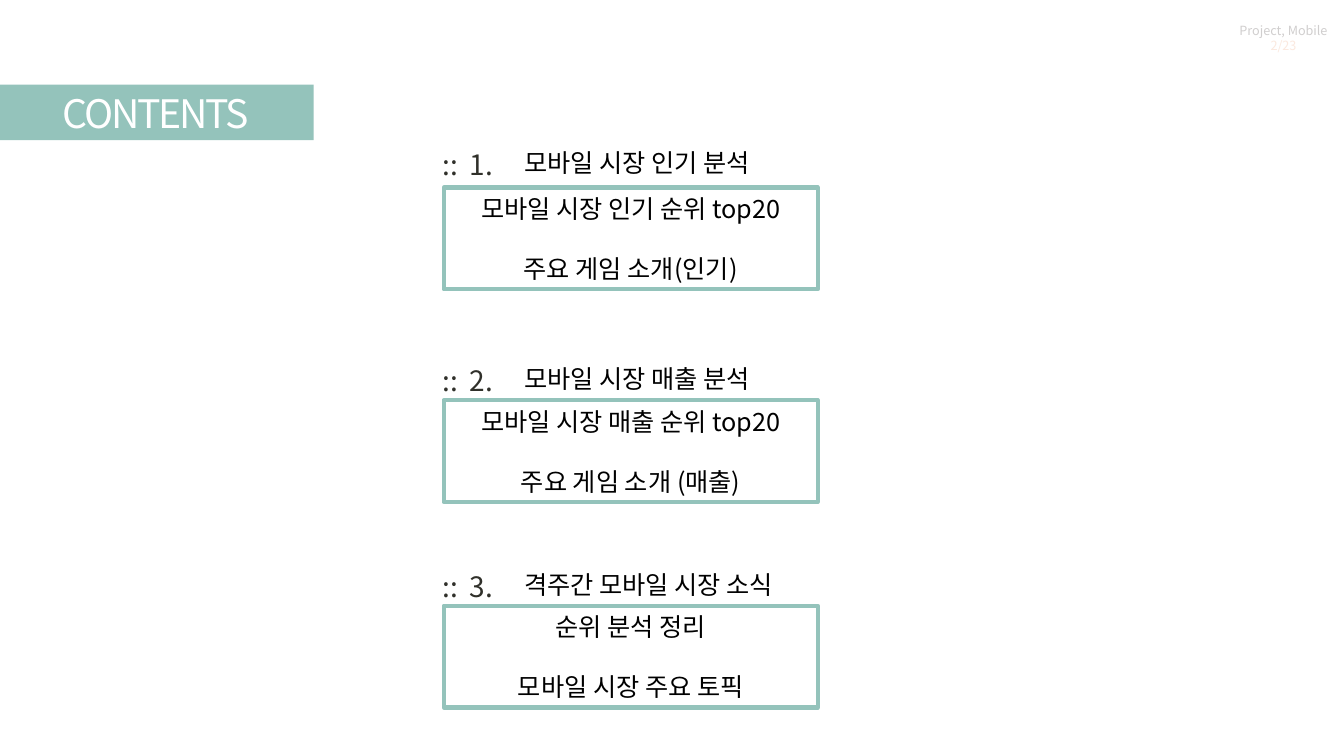
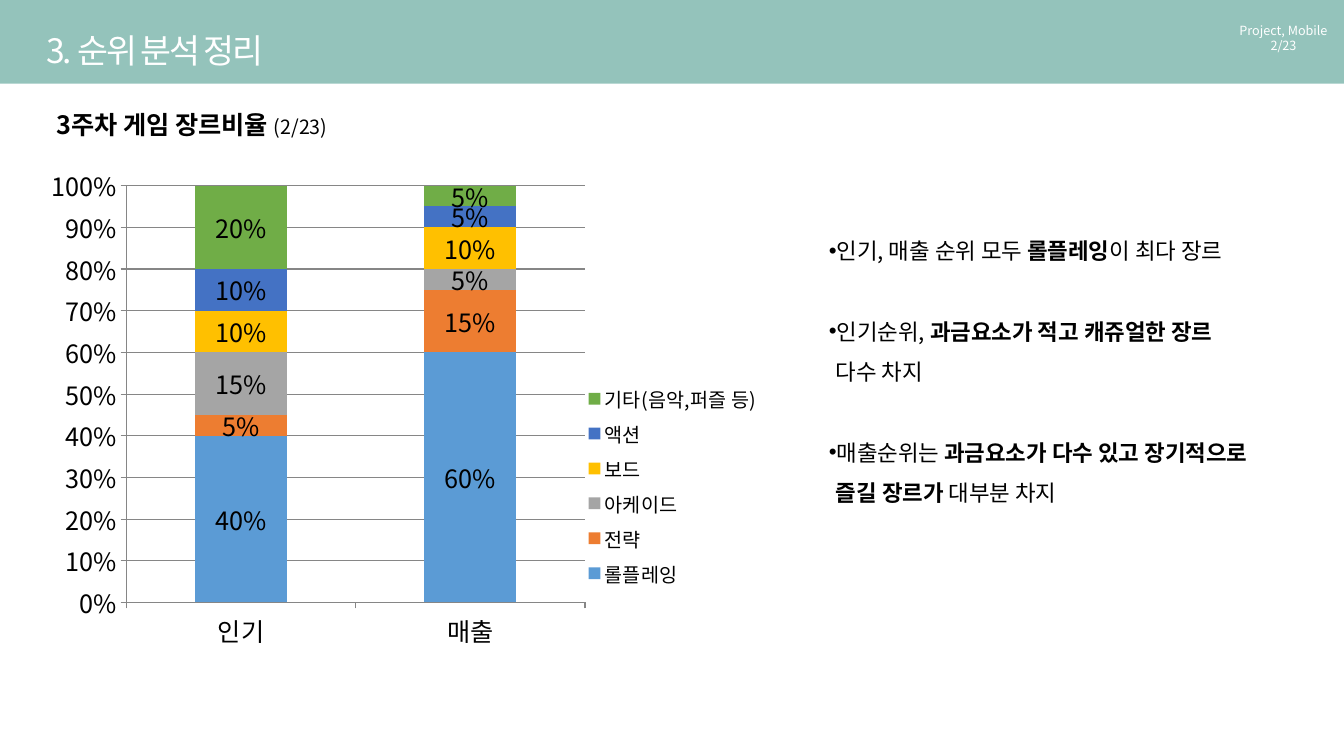
from dataclasses import dataclass

import pptx
import pptx.chart.data
import pptx.dml.color
import pptx.enum.chart
import pptx.enum.shapes
import pptx.enum.text
import pptx.oxml
import pptx.oxml.ns
import pptx.util
from lxml import etree
from pptx.util import Inches

FONT = "Noto Sans CJK KR"
COLORS = {
    "teal": "94C3BB", "white": "FFFFFF", "black": "000000", "ink": "30302A",
    "gray": "D0CECE", "faint": "FBE9DF", "grid": "868686",
}
ALIGN = pptx.enum.text.PP_ALIGN
ANCHOR = pptx.enum.text.MSO_ANCHOR
qn = pptx.oxml.ns.qn


@dataclass
class Section:
    number: int
    heading: str
    lines: list[str]
    top: float
    box_top: float


@dataclass
class Series:
    name: str
    values: tuple[int, int]
    color: str


SECTIONS = [
    Section(1, "모바일 시장 인기 분석",
            ["모바일 시장 인기 순위 top20", "주요 게임 소개(인기)"], 1.41, 1.86),
    Section(2, "모바일 시장 매출 분석",
            ["모바일 시장 매출 순위 top20", "주요 게임 소개 (매출)"], 3.56, 3.97),
    Section(3, "격주간 모바일 시장 소식",
            ["순위 분석 정리", "모바일 시장 주요 토픽"], 5.6, 6.01),
]
GENRES = [
    Series("롤플레잉", (40, 60), "5B9BD5"),
    Series("전략", (5, 15), "ED7D31"),
    Series("아케이드", (15, 5), "A5A5A5"),
    Series("보드", (10, 10), "FFC000"),
    Series("액션", (10, 5), "4472C4"),
    Series("기타(음악,퍼즐 등)", (20, 5), "70AD47"),
]
LEGEND_LAYOUT = {"x": 0.7, "y": 0.44, "w": 0.29, "h": 0.43}
FINDINGS = [
    [("인기, 매출 순위 모두 ", False), ("롤플레잉", True), ("이 최다 장르", False)],
    [("인기순위, ", False), ("과금요소가 적고 캐쥬얼한 장르", True), ("\v", False),
     ("다수 차지", False)],
    [("매출순위는 ", False), ("과금요소가 다수 있고 장기적으로", True), ("\v", False),
     ("즐길 장르가", True), (" 대부분 차지", False)],
]


def rgb(hex_color: str) -> pptx.dml.color.RGBColor:
    return pptx.dml.color.RGBColor.from_string(hex_color)


def style_run(r, size: float, color: str = "black", bold: bool = False) -> None:
    r.font.size = pptx.util.Pt(size)
    r.font.bold = bold
    r.font.color.rgb = rgb(COLORS[color])
    r.font.name = FONT
    r._r.get_or_add_rPr().set("kern", "0")


def set_east_asian_font(element) -> None:
    for latin in list(element.iter(qn("a:latin"))):
        ea = etree.Element(qn("a:ea"), typeface=FONT)
        latin.addnext(ea)


def place(sp, left: float, top: float, width: float, height: float) -> None:
    sp.left, sp.top = Inches(left), Inches(top)
    sp.width, sp.height = Inches(width), Inches(height)


def set_frame(tf, anchor=ANCHOR.TOP) -> None:
    tf.word_wrap = True
    tf.auto_size = pptx.enum.text.MSO_AUTO_SIZE.NONE
    tf.vertical_anchor = anchor


def add_text(s, left: float, top: float, width: float, height: float,
             text: str, size: float, color: str = "black"):
    tf = s.shapes.add_textbox(Inches(left), Inches(top),
                              Inches(width), Inches(height)).text_frame
    set_frame(tf)
    tf.text = text
    for p in tf.paragraphs:
        for r in p.runs:
            style_run(r, size, color)
    return tf


def add_rect(s, left: float, top: float, width: float, height: float):
    sp = s.shapes.add_shape(pptx.enum.shapes.MSO_SHAPE.RECTANGLE, Inches(left),
                            Inches(top), Inches(width), Inches(height))
    sp.shadow.inherit = False
    return sp


def add_band(s, top: float, width: float, height: float, color: str) -> None:
    sp = add_rect(s, 0, top, width, height)
    sp.fill.solid()
    sp.fill.fore_color.rgb = rgb(COLORS[color])
    sp.line.fill.background()
    s.shapes._spTree.insert(2, sp._element)


def set_title(s, text: str, left: float, top: float, width: float,
              height: float, size: float) -> None:
    sp = s.shapes.title
    place(sp, left, top, width, height)
    tf = sp.text_frame
    set_frame(tf)
    tf.text = text
    p = tf.paragraphs[0]
    p.alignment = ALIGN.LEFT
    r = p.runs[0]
    style_run(r, size, "white")
    r._r.get_or_add_rPr().set("spc", "-150")


def add_badge(s, name_color: str, date_color: str) -> None:
    tf = add_text(s, 12.16, 0.18, 1.14, 0.4, "Project, Mobile\n2/23", 9)
    for p, color in zip(tf.paragraphs, (name_color, date_color)):
        p.alignment = ALIGN.CENTER
        style_run(p.runs[0], 9, color)


def add_section(s, section: Section) -> None:
    sp = add_rect(s, 4.4, section.box_top, 3.71, 1.01)
    sp.fill.background()
    sp.line.color.rgb = rgb(COLORS["teal"])
    sp.line.width = pptx.util.Pt(3)
    tf = sp.text_frame
    set_frame(tf, ANCHOR.MIDDLE)
    tf.text = "\n".join(section.lines)
    for i, p in enumerate(tf.paragraphs):
        p.alignment = ALIGN.CENTER
        p.space_before = pptx.util.Pt(21.5 if i else 0)
        style_run(p.runs[0], 18)
    tf = add_text(s, 4.29, section.top, 0.89, 0.44,
                  f"::\t{section.number}.", 20, "ink")
    pPr = tf.paragraphs[0]._p.get_or_add_pPr()
    tabs = etree.SubElement(pPr, qn("a:tabLst"))
    etree.SubElement(tabs, qn("a:tab"), pos=str(Inches(0.27)), algn="l")
    add_text(s, 5.1, section.top, 3.32, 0.4, section.heading, 18)


def place_legend(legend) -> None:
    element = legend._element
    for old in element.findall(qn("c:layout")):
        element.remove(old)
    layout = etree.Element(qn("c:layout"))
    manual = etree.SubElement(layout, qn("c:manualLayout"))
    for axis in ("x", "y"):
        etree.SubElement(manual, qn(f"c:{axis}Mode"), val="edge")
    for name, value in LEGEND_LAYOUT.items():
        etree.SubElement(manual, qn(f"c:{name}"), val=str(value))
    element.find(qn("c:legendPos")).addnext(layout)


def add_genre_chart(s) -> None:
    data = pptx.chart.data.CategoryChartData()
    data.categories = ["인기", "매출"]
    for genre in GENRES:
        data.add_series(genre.name, genre.values)
    chart = s.shapes.add_chart(
        pptx.enum.chart.XL_CHART_TYPE.COLUMN_STACKED_100, Inches(0.36),
        Inches(1.56), Inches(7.47), Inches(4.98), data).chart
    chart.has_title = False
    chart.has_legend = True
    chart.legend.position = pptx.enum.chart.XL_LEGEND_POSITION.RIGHT
    chart.legend.include_in_layout = False
    place_legend(chart.legend)
    for font, size in ((chart.font, 18), (chart.legend.font, 14)):
        font.size = pptx.util.Pt(size)
        font.name = FONT
        font.color.rgb = rgb(COLORS["black"])

    plot = chart.plots[0]
    plot.gap_width, plot.overlap = 150, 100
    plot.vary_by_categories = False
    plot.has_data_labels = True
    labels = plot.data_labels
    labels.show_value = True
    labels.number_format = '0"%"'
    labels.number_format_is_linked = False
    labels.position = pptx.enum.chart.XL_LABEL_POSITION.CENTER
    for series, genre in zip(plot.series, GENRES):
        series.format.fill.solid()
        series.format.fill.fore_color.rgb = rgb(genre.color)

    axis = chart.value_axis
    axis.has_major_gridlines = True
    axis.tick_labels.number_format = "0%"
    axis.tick_labels.number_format_is_linked = False
    for line in (axis.major_gridlines.format.line, axis.format.line,
                 chart.category_axis.format.line):
        line.color.rgb = rgb(COLORS["grid"])
        line.width = pptx.util.Pt(0.75)
    for ax in (axis, chart.category_axis):
        ax.major_tick_mark = pptx.enum.chart.XL_TICK_MARK.OUTSIDE
    set_east_asian_font(chart._chartSpace)


def fill_findings(sp) -> None:
    place(sp, 8.12, 2.17, 4.99, 2.88)
    tf = sp.text_frame
    set_frame(tf)
    for i, pieces in enumerate(FINDINGS):
        p = tf.add_paragraph() if i else tf.paragraphs[0]
        pPr = p._p.get_or_add_pPr()
        pPr.set("marL", str(Inches(0.07)))
        pPr.set("indent", str(-Inches(0.07)))
        p.line_spacing = 1.5
        p.space_before = pptx.util.Pt(28.8 if i else 0)
        for text, bold in pieces:
            if text == "\v":
                p.add_line_break()
                etree.SubElement(p._p[-1], qn("a:rPr"), sz="1600")
                continue
            r = p.add_run()
            r.text = text
            style_run(r, 16, bold=bold)


def build_contents(prs) -> None:
    s = prs.slides.add_slide(prs.slide_layouts[5])
    add_band(s, 0.84, 3.11, 0.55, "teal")
    set_title(s, "CONTENTS", 0.52, 0.84, 2.4, 0.57, 28)
    add_badge(s, "gray", "faint")
    for section in SECTIONS:
        add_section(s, section)
    set_east_asian_font(s._element)


def build_genres(prs) -> None:
    s = prs.slides.add_slide(prs.slide_layouts[1])
    s.background.fill.solid()
    s.background.fill.fore_color.rgb = rgb(COLORS["teal"])
    add_band(s, 0.83, 13.33, 6.67, "white")
    set_title(s, "3. 순위 분석 정리", 0.36, 0.25, 4, 0.5, 24)
    add_badge(s, "white", "white")
    add_genre_chart(s)
    tf = add_text(s, 0.46, 1.04, 4, 0.4, "3주차 게임 장르비율 ", 18)
    p = tf.paragraphs[0]
    p.runs[0].font.bold = True
    r = p.add_run()
    r.text = "(2/23)"
    style_run(r, 14)
    fill_findings(s.placeholders[1])
    set_east_asian_font(s._element)


def main() -> None:
    prs = pptx.Presentation()
    prs.slide_width, prs.slide_height = Inches(13.33), Inches(7.5)
    build_contents(prs)
    build_genres(prs)
    prs.save("out.pptx")


if __name__ == "__main__":
    main()
